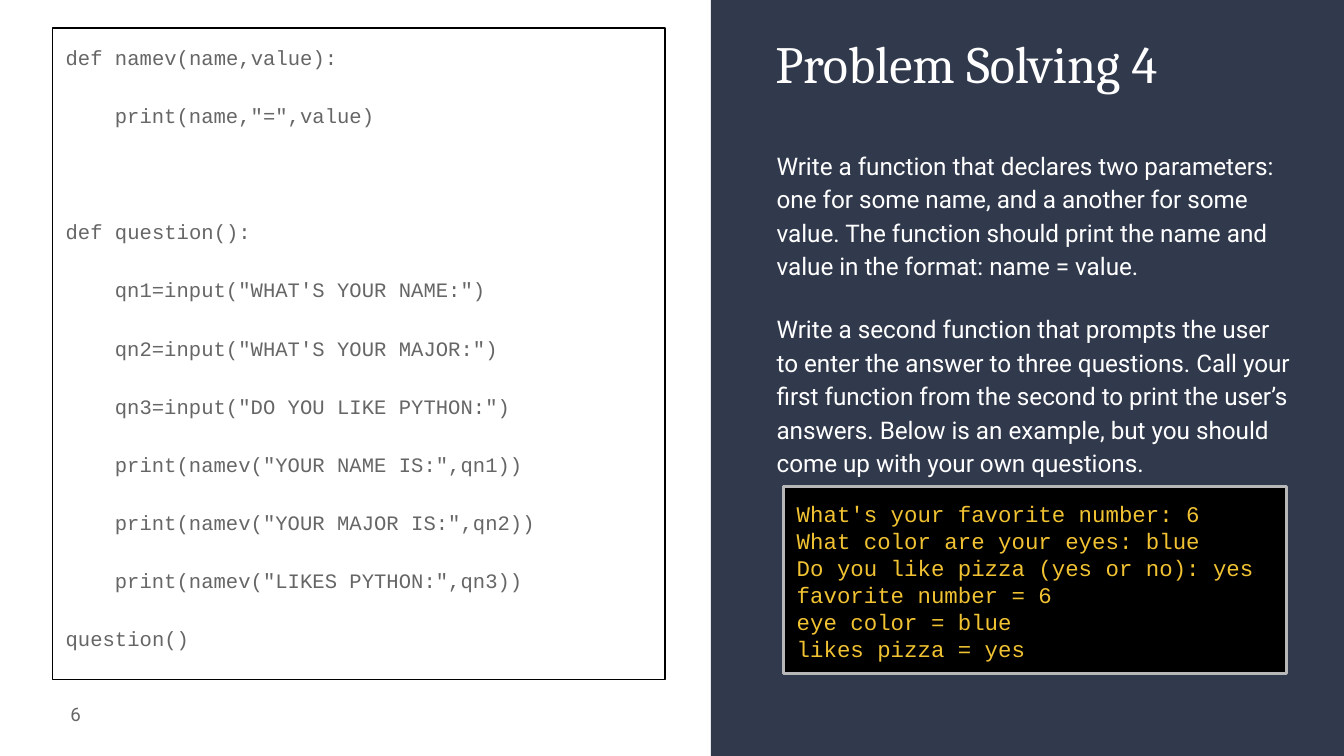
from pptx import Presentation
from pptx.dml.color import RGBColor
from pptx.enum.shapes import MSO_SHAPE
from pptx.enum.text import MSO_ANCHOR, PP_ALIGN
from pptx.util import Inches, Pt

RECT = MSO_SHAPE.RECTANGLE
LEFT, RIGHT = PP_ALIGN.LEFT, PP_ALIGN.RIGHT
TOP, MIDDLE = MSO_ANCHOR.TOP, MSO_ANCHOR.MIDDLE
NAVY, WHITE, GRAY, BLACK = "31394D", "FFFFFF", "666666", "000000"
SILVER, GOLD = "B7B7B7", "F1C232"
MONO = "Courier New"
INDENT = Pt(26.4)  # four characters of 11 pt code

prs = Presentation()
prs.slide_width, prs.slide_height = Inches(10), Inches(5.625)
s = prs.slides.add_slide(prs.slide_layouts[6])


def box(x, y, w, h, fill=None, line=None, weight=0.75):
    """Add a rectangle placed by percentages of the slide's width and height."""
    W, H = prs.slide_width / 100, prs.slide_height / 100
    sp = s.shapes.add_shape(RECT, int(x * W), int(y * H), int(w * W), int(h * H))
    sp.shadow.inherit = False
    for part, color in ((sp.fill, fill), (sp.line.fill, line)):
        if color:
            part.solid()
            part.fore_color.rgb = RGBColor.from_string(color)
        else:
            part.background()
    if line:
        sp.line.width = Pt(weight)
    return sp


def write(sp, lines, size, font, color, align=LEFT, anchor=TOP,
          spacing=1.0, before=0, after=0):
    """Fill a shape with one paragraph per line and return the paragraphs."""
    tf = sp.text_frame
    tf.word_wrap = True
    tf.vertical_anchor = anchor
    tf.margin_left = tf.margin_right = tf.margin_top = tf.margin_bottom = Inches(0.1)
    for i, text in enumerate(lines):
        p = tf.paragraphs[0] if i == 0 else tf.add_paragraph()
        p.alignment, p.line_spacing = align, spacing
        p.space_before, p.space_after = Pt(before if i else 0), Pt(after)
        r = p.add_run()
        r.text = text
        r.font.size, r.font.name = Pt(size), font
        r.font.color.rgb = RGBColor.from_string(color)
    return tf.paragraphs


# Right-hand panel
box(52.9, 0, 47.1, 100, fill=NAVY)

# Slide number
write(box(1, 90.7, 6, 7.6), ["6"], 10, "Roboto", GRAY, align=RIGHT, anchor=MIDDLE)

# Title
write(box(56.7, 2.3, 40.5, 12.4), ["Problem Solving 4"], 28, "Cambria", WHITE)

# Code listing: (indent level, text)
code = [
    (0, "def namev(name,value):"),
    (1, 'print(name,"=",value)'),
    (0, "def question():"),
    (1, 'qn1=input("WHAT\'S YOUR NAME:")'),
    (1, 'qn2=input("WHAT\'S YOUR MAJOR:")'),
    (1, 'qn3=input("DO YOU LIKE PYTHON:")'),
    (1, 'print(namev("YOUR NAME IS:",qn1))'),
    (1, 'print(namev("YOUR MAJOR IS:",qn2))'),
    (1, 'print(namev("LIKES PYTHON:",qn3))'),
    (0, "question()"),
]
paragraphs = write(box(3.9, 3.7, 45.6, 86.2, line=BLACK), [text for _, text in code],
                   11, MONO, GRAY, spacing=1.15, after=16)
for p, (level, _) in zip(paragraphs, code):
    p._p.get_or_add_pPr().set("marL", str(level * INDENT))
paragraphs[1].space_after = Pt(47)  # gap between the two functions

# Task description
task = [
    "Write a function that declares two parameters: one for some name, and a another "
    "for some value. The function should print the name and value in the format: "
    "name = value.",
    "Write a second function that prompts the user to enter the answer to three "
    "questions. Call your first function from the second to print the user’s answers. "
    "Below is an example, but you should come up with your own questions.",
]
write(box(56.8, 17.6, 40.5, 46.8), task, 13, "Roboto", WHITE, spacing=1.15, before=16)

# Example output
output = [
    "What's your favorite number: 6",
    "What color are your eyes: blue",
    "Do you like pizza (yes or no): yes",
    "favorite number = 6",
    "eye color = blue",
    "likes pizza = yes",
]
write(box(58.3, 64.4, 37.4, 24.7, fill=BLACK, line=SILVER, weight=1.5),
      output, 12, MONO, GOLD)

prs.save("out.pptx")
